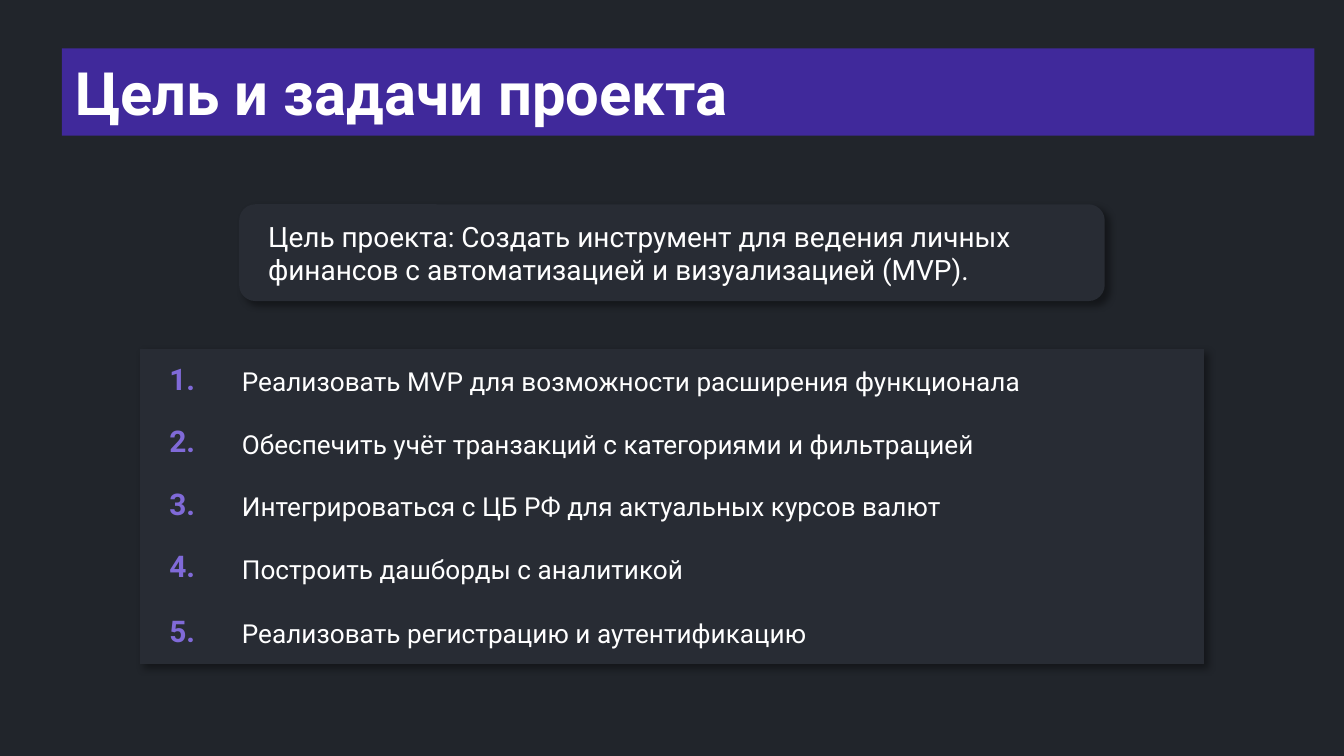
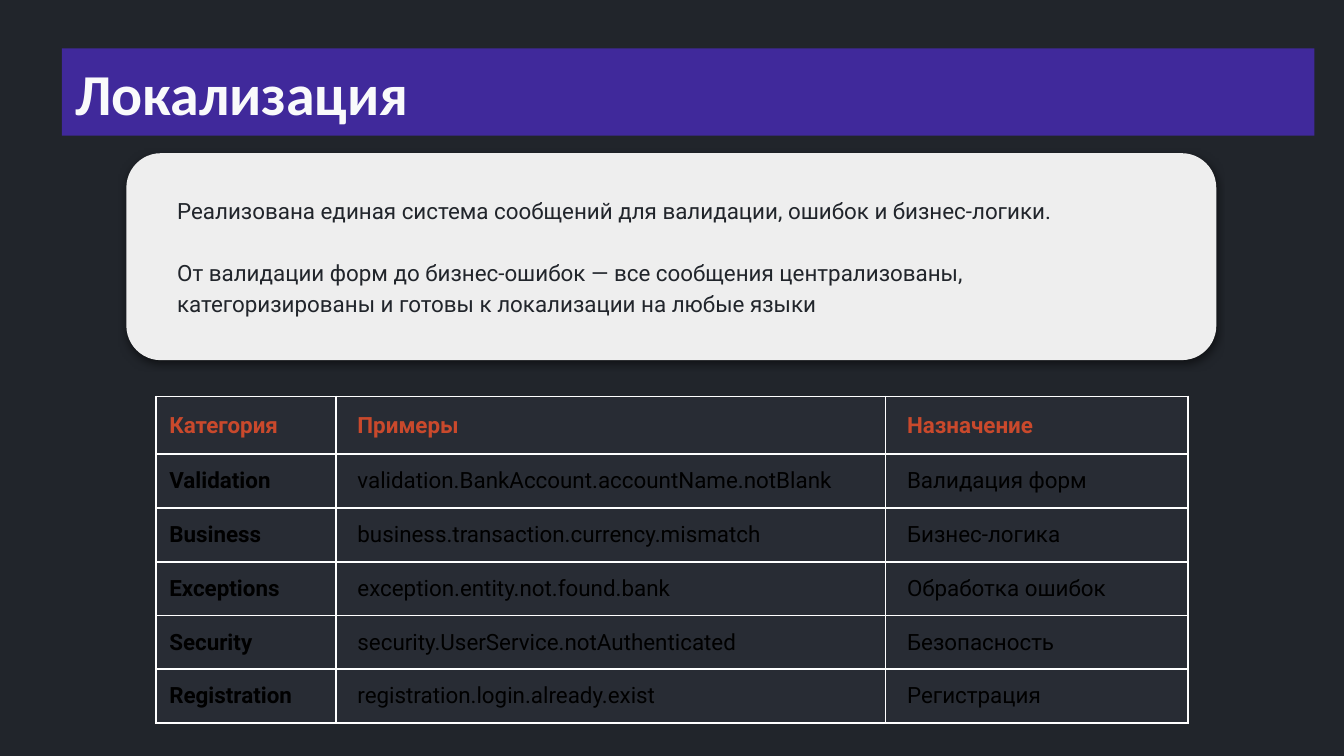
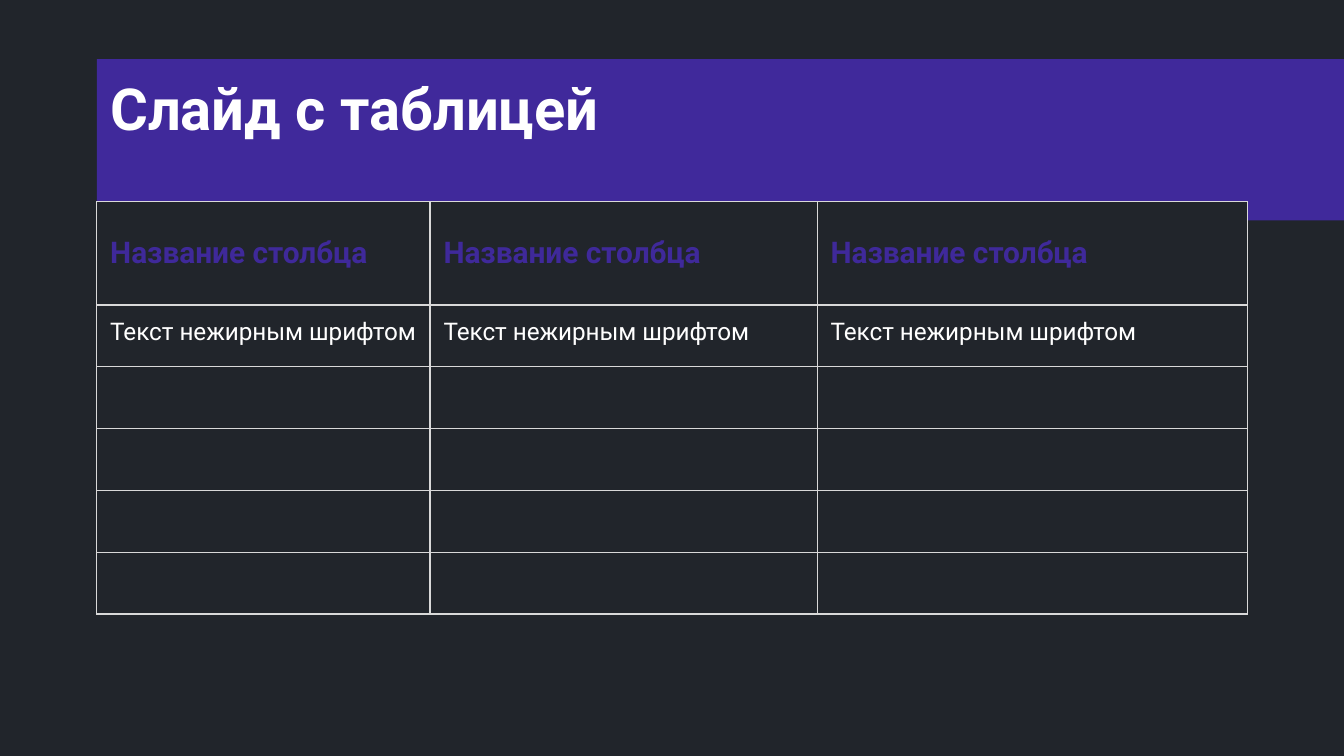
from dataclasses import dataclass

from lxml import etree
from pptx import Presentation
from pptx.dml.color import RGBColor
from pptx.enum import shapes, text
from pptx.oxml.ns import qn
from pptx.util import Inches, Pt


@dataclass(frozen=True)
class Theme:
    # Colours
    background: str = "21252B"
    panel: str = "282C34"
    light_panel: str = "EEEEEE"
    band: str = "40299B"
    white: str = "FFFFFF"
    title_soft: str = "F9FAFB"
    number: str = "806AD8"
    heading: str = "C9492C"
    column_name: str = "3F299A"
    black: str = "000000"
    grid: str = "D9D9D9"
    # Fonts and type sizes
    font: str = "Roboto"
    title_font: str = "Calibri"
    title_large: int = 32
    title: int = 31
    column: int = 16
    goal: int = 15
    task: int = 14
    cell: int = 13
    small: int = 12


THEME = Theme()
NO_STYLE = "{2D5ABB26-0587-4C30-8999-92F81FD0307C}"
TITLE_BOX = (0.46, 0.36, 9.32, 0.65)
CARD_SHADOW = dict(alpha=40, blur=4, distance=3, angle=45)
NOTE_SHADOW = dict(alpha=50, blur=4.5, distance=1.5, angle=90)


# Shared helpers
def paint(target, color):
    target.fill.solid()
    target.fill.fore_color.rgb = RGBColor.from_string(color)


def format_runs(paragraph, size, color, bold=False, font=THEME.font):
    for span in paragraph.runs:
        span.font.name = font
        span.font.size = Pt(size)
        span.font.bold = bold
        span.font.color.rgb = RGBColor.from_string(color)


def set_margins(target, left=0.1, right=0.1, top=0.1, bottom=0.1):
    target.margin_left, target.margin_right = Inches(left), Inches(right)
    target.margin_top, target.margin_bottom = Inches(top), Inches(bottom)


def make_shadow(alpha, blur, distance, angle):
    effects = etree.Element(qn("a:effectLst"))
    outer = etree.SubElement(
        effects, qn("a:outerShdw"), blurRad=str(Pt(blur)), dist=str(Pt(distance)),
        dir=str(angle * 60000), algn="bl", rotWithShape="0")
    color = etree.SubElement(outer, qn("a:srgbClr"), val=THEME.black)
    etree.SubElement(color, qn("a:alpha"), val=str(alpha * 1000))
    return effects


def set_borders(cell, color, width):
    properties = cell._tc.get_or_add_tcPr()
    for index, side in enumerate(("lnL", "lnR", "lnT", "lnB")):
        line = etree.Element(qn(f"a:{side}"), w=str(Pt(width)))
        fill = etree.SubElement(line, qn("a:solidFill"))
        etree.SubElement(fill, qn("a:srgbClr"), val=color)
        properties.insert(index, line)


def add_plain_table(page, left, top, columns, rows):
    frame = page.shapes.add_table(
        len(rows), len(columns), Inches(left), Inches(top),
        Inches(sum(columns)), Inches(sum(rows)))
    table = frame.table
    table.first_row = table.horz_banding = False
    table._tbl.tblPr.find(qn("a:tableStyleId")).text = NO_STYLE
    for column, width in zip(table.columns, columns):
        column.width = Inches(width)
    for row, height in zip(table.rows, rows):
        row.height = Inches(height)
    return table


def write_cell(cell, words, size, color, bold=False):
    cell.text_frame.text = words
    paragraph = cell.text_frame.paragraphs[0]
    format_runs(paragraph, size, color, bold)
    if not words:
        etree.SubElement(paragraph._p, qn("a:endParaRPr"), sz=str(size * 100))
    return paragraph


def add_card(page, box, color, shadow):
    card = page.shapes.add_shape(
        shapes.MSO_SHAPE.ROUNDED_RECTANGLE, *map(Inches, box))
    card.shadow.inherit = False
    paint(card, color)
    card.line.fill.background()
    properties = card._element.spPr
    properties.replace(properties.find(qn("a:effectLst")), make_shadow(**shadow))
    return card


def add_titled_page(deck, title, box=TITLE_BOX, size=THEME.title, color=THEME.white,
                    font=THEME.font, anchor=text.MSO_ANCHOR.MIDDLE):
    page = deck.slides.add_slide(deck.slide_layouts[5])
    band = page.shapes.title
    band.left, band.top, band.width, band.height = map(Inches, box)
    paint(band, THEME.band)
    frame = band.text_frame
    frame.text = title
    frame.word_wrap = True
    frame.auto_size = text.MSO_AUTO_SIZE.NONE
    frame.vertical_anchor = anchor
    set_margins(frame)
    frame.paragraphs[0].alignment = text.PP_ALIGN.LEFT
    format_runs(frame.paragraphs[0], size, color, True, font)
    return page


# Goal and tasks
def add_goal(page, box, words):
    card = add_card(page, box, THEME.panel, CARD_SHADOW)
    frame = card.text_frame
    frame.text = words
    frame.word_wrap = True
    frame.vertical_anchor = text.MSO_ANCHOR.MIDDLE
    set_margins(frame, 0.18, 0.18)
    frame.paragraphs[0].alignment = text.PP_ALIGN.LEFT
    format_runs(frame.paragraphs[0], THEME.goal, THEME.white)


def add_tasks(page, left, top, tasks):
    table = add_plain_table(page, left, top, [0.54, 7.38],
                            [0.46, 0.46, 0.46, 0.48, 0.47])
    table._tbl.tblPr.insert(0, make_shadow(**CARD_SHADOW))
    for index, task in enumerate(tasks):
        number_cell, task_cell = table.rows[index].cells
        write_cell(number_cell, f"{index + 1}.", THEME.column, THEME.number, True)
        write_cell(task_cell, task, THEME.task, THEME.white).line_spacing = 1.15
        for cell in (number_cell, task_cell):
            set_margins(cell, left=0.22)
            paint(cell, THEME.panel)


def build_goals(deck):
    page = add_titled_page(deck, "Цель и задачи проекта", size=THEME.title_large)
    add_tasks(page, 1.04, 2.6, [
        "Реализовать MVP для возможности расширения функционала",
        "Обеспечить учёт транзакций с категориями и фильтрацией",
        "Интегрироваться с ЦБ РФ для актуальных курсов валют",
        "Построить дашборды с аналитикой",
        "Реализовать регистрацию и аутентификацию",
    ])
    add_goal(page, (1.78, 1.52, 6.44, 0.72),
             "Цель проекта: Создать инструмент для ведения личных финансов "
             "с автоматизацией и визуализацией (MVP).")


# Localization
def add_messages(page, left, top, records):
    table = add_plain_table(page, left, top, [1.34, 4.09, 2.25],
                            [0.43] + [0.4] * (len(records) - 1))
    for row_index, record in enumerate(records):
        is_header = row_index == 0
        color = THEME.heading if is_header else THEME.black
        for column_index, words in enumerate(record):
            is_first = column_index == 0
            cell = table.cell(row_index, column_index)
            write_cell(cell, words, THEME.small, color, is_header or is_first)
            set_margins(cell, 0.1 if is_first else 0.16, 0.16)
            cell.vertical_anchor = text.MSO_ANCHOR.MIDDLE
            paint(cell, THEME.panel)
            set_borders(cell, THEME.white, 1)


def add_note(page, box, paragraphs):
    left, top, width, height = box
    add_card(page, box, THEME.light_panel, NOTE_SHADOW)
    note = page.shapes.add_textbox(Inches(left + 0.28), Inches(top + 0.2),
                                   Inches(width - 0.54), Inches(height - 0.41))
    frame = note.text_frame
    frame.text = "\n".join(paragraphs)
    frame.word_wrap = True
    frame.auto_size = text.MSO_AUTO_SIZE.SHAPE_TO_FIT_TEXT
    set_margins(frame, right=0.2)
    for index, paragraph in enumerate(frame.paragraphs):
        paragraph.line_spacing = 1.15
        if index:
            paragraph.space_before = Pt(16.5)
        format_runs(paragraph, THEME.small, THEME.background)


def build_localization(deck):
    page = add_titled_page(deck, "Локализация", color=THEME.title_soft,
                           font=THEME.title_font)
    add_messages(page, 1.16, 2.95, [
        ("Категория", "Примеры", "Назначение"),
        ("Validation", "validation.BankAccount.accountName.notBlank",
         "Валидация форм"),
        ("Business", "business.transaction.currency.mismatch", "Бизнес-логика"),
        ("Exceptions", "exception.entity.not.found.bank", "Обработка ошибок"),
        ("Security", "security.UserService.notAuthenticated", "Безопасность"),
        ("Registration", "registration.login.already.exist", "Регистрация"),
    ])
    add_note(page, (0.94, 1.14, 8.11, 1.54), [
        "Реализована единая система сообщений для валидации, ошибок и бизнес-логики.",
        "От валидации форм до бизнес-ошибок — все сообщения централизованы, "
        "категоризированы и готовы к локализации на любые языки",
    ])


# Table page
def add_sample_table(page, left, top):
    columns = [2.48, 2.88, 3.2]
    table = add_plain_table(page, left, top, columns, [0.77] + [0.46] * 5)
    row_words = ["Название столбца", "Текст нежирным шрифтом"] + [""] * 4
    for row_index, words in enumerate(row_words):
        for column_index in range(len(columns)):
            cell = table.cell(row_index, column_index)
            set_margins(cell)
            if row_index == 0:
                write_cell(cell, words, THEME.column, THEME.column_name, True)
                cell.vertical_anchor = text.MSO_ANCHOR.MIDDLE
                paint(cell, THEME.background)
            else:
                write_cell(cell, words, THEME.cell, THEME.white)
            set_borders(cell, THEME.grid, 0.75)


def build_table_page(deck):
    page = add_titled_page(deck, "Слайд с таблицей", box=(0.72, 0.44, 9.32, 1.2),
                           anchor=text.MSO_ANCHOR.TOP)
    add_sample_table(page, 0.72, 1.5)


def main():
    deck = Presentation()
    deck.slide_width = Inches(10)
    deck.slide_height = deck.slide_width * 9 // 16
    paint(deck.slide_master.background, THEME.background)
    build_goals(deck)
    build_localization(deck)
    build_table_page(deck)
    deck.save("out.pptx")


if __name__ == "__main__":
    main()
